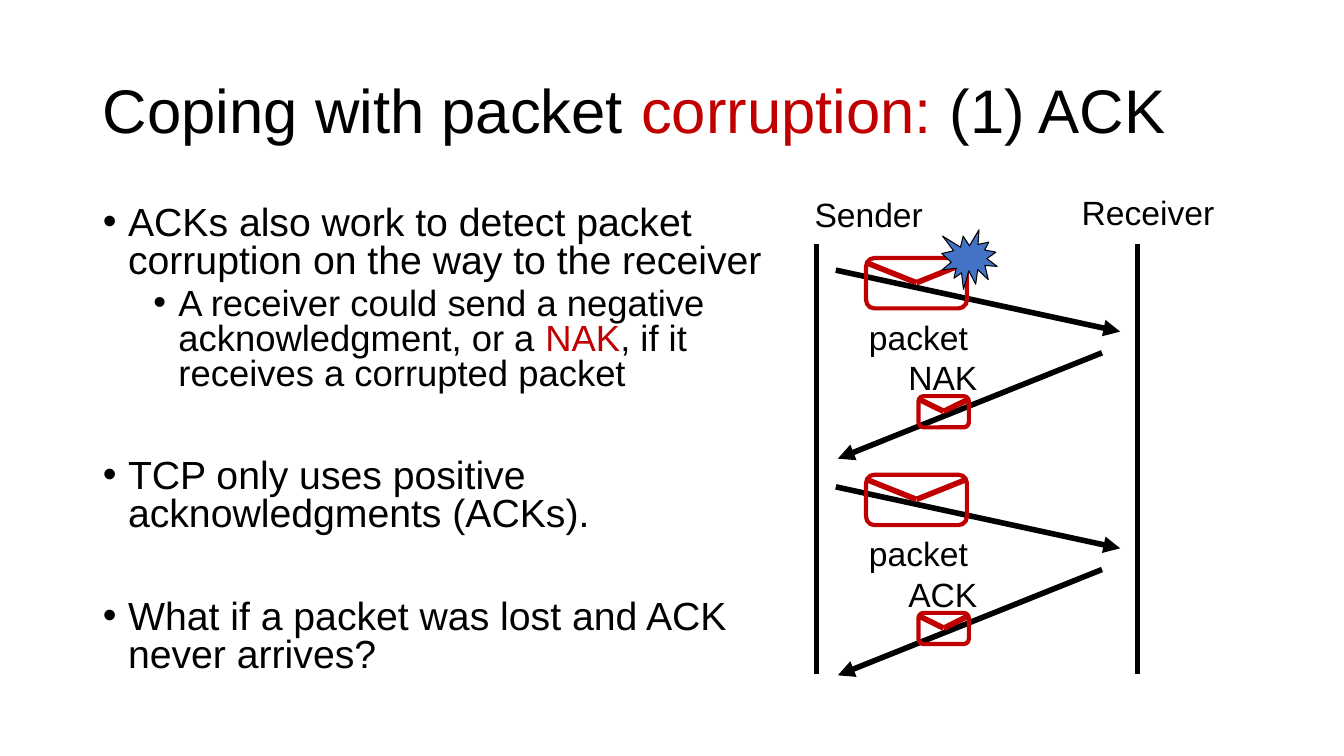
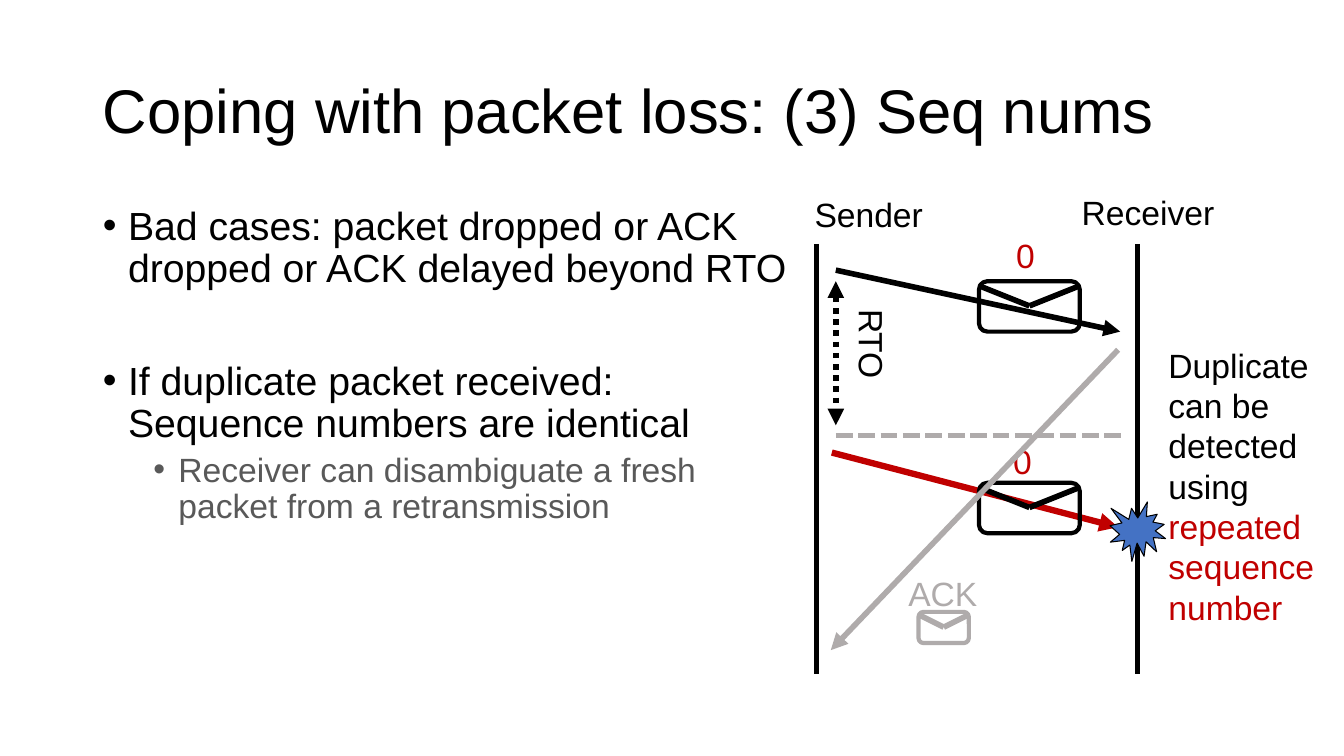
from lxml import etree
from pptx import Presentation
from pptx.dml.color import RGBColor
from pptx.enum.dml import MSO_LINE
from pptx.enum.shapes import MSO_CONNECTOR, MSO_SHAPE
from pptx.enum.text import MSO_ANCHOR, MSO_AUTO_SIZE, PP_ALIGN
from pptx.oxml.ns import qn
from pptx.util import Inches, Pt

STRAIGHT = MSO_CONNECTOR.STRAIGHT
ROUNDED = MSO_SHAPE.ROUNDED_RECTANGLE
BURST = MSO_SHAPE.EXPLOSION1
DASHED = MSO_LINE.SQUARE_DOT
DOTTED = MSO_LINE.ROUND_DOT
MIDDLE = MSO_ANCHOR.MIDDLE
NO_AUTOFIT = MSO_AUTO_SIZE.NONE
LEFT = PP_ALIGN.LEFT

FONT = "Arial"
COLORS = {
    "black": "000000",
    "red": "C00000",
    "blue": "4472C4",
    "silver": "AFABAB",
    "gray": "595959",
}
SENDER_X, RECEIVER_X = 8.1, 11.28
LINE_TOP, LINE_BOTTOM = 2.42, 6.69
EXCHANGE_STEP = 2.15


def rgb(name):
    return RGBColor.from_string(COLORS[name])


class Lecture:
    """Holds the deck, its style and the slide being drawn."""

    def __init__(self):
        self.deck = Presentation()
        self.deck.slide_width = Inches(13.33)
        self.deck.slide_height = Inches(7.5)
        self.page = None

    def start_slide(self, *title_spans):
        self.page = self.deck.slides.add_slide(self.deck.slide_layouts[1])
        title = self.page.shapes.title
        self.place(title, 0.92, 0.4, 11.5, 1.45)
        frame = title.text_frame
        frame.auto_size = NO_AUTOFIT
        frame.vertical_anchor = MIDDLE
        paragraph = frame.paragraphs[0]
        paragraph.alignment = LEFT
        paragraph.line_spacing = 0.9
        self.add_spans(paragraph, title_spans, 44)

    def place(self, shape, left, top, width, height):
        shape.left, shape.top = Inches(left), Inches(top)
        shape.width, shape.height = Inches(width), Inches(height)

    def add_spans(self, paragraph, spans, size):
        """Add (text, colour name) spans to a paragraph."""
        for text, color in spans:
            span = paragraph.add_run()
            span.text = text
            span.font.name = FONT
            span.font.size = Pt(size)
            span.font.color.rgb = rgb(color)

    def bullets(self, items, height, line_spacing):
        """Fill the body with (level, size, space before, spans) items."""
        body = self.page.placeholders[1]
        self.place(body, 0.92, 2, 7.04, height)
        frame = body.text_frame
        frame.auto_size = NO_AUTOFIT
        for index, (level, size, space, spans) in enumerate(items):
            paragraph = frame.add_paragraph() if index else frame.paragraphs[0]
            paragraph.level = level
            paragraph.line_spacing = line_spacing
            paragraph.space_before = Pt(space)
            properties = paragraph._p.get_or_add_pPr()
            properties.set("marL", str(Inches(0.25 + 0.5 * level)))
            properties.set("indent", str(Inches(-0.25)))
            etree.SubElement(properties, qn("a:buFont"), typeface=FONT)
            etree.SubElement(properties, qn("a:buChar"), char="•")
            self.add_spans(paragraph, spans, size)

    def label(self, left, top, width, *paragraphs, height=0.5, wrap=True,
              rotation=0):
        """Add a text box; each paragraph is a list of spans."""
        box = self.page.shapes.add_textbox(
            Inches(left), Inches(top), Inches(width), Inches(height))
        box.rotation = rotation
        frame = box.text_frame
        frame.word_wrap = wrap
        for index, spans in enumerate(paragraphs):
            paragraph = frame.add_paragraph() if index else frame.paragraphs[0]
            self.add_spans(paragraph, spans, 24)

    def line(self, start, end, color="black", width=4, dash=None, ends=(),
             shapes=None):
        """Draw a line; ends lists the arrowhead tags, headEnd first."""
        shapes = self.page.shapes if shapes is None else shapes
        points = [Inches(value) for value in (*start, *end)]
        connector = shapes.add_connector(STRAIGHT, *points)
        connector.line.color.rgb = rgb(color)
        connector.line.width = Pt(width)
        if dash is not None:
            connector.line.dash_style = dash
        properties = connector._element.spPr
        outline = properties.find(qn("a:ln"))
        for tag in ends:
            etree.SubElement(outline, qn(f"a:{tag}"), type="triangle")
        etree.SubElement(properties, qn("a:effectLst"))

    def arrow(self, start, end, color="black", width=4):
        self.line(start, end, color, width, ends=("tailEnd",))

    def envelope(self, left, top, width=1.0, height=0.5, color="red"):
        shapes = self.page.shapes.add_group_shape().shapes
        cover = shapes.add_shape(
            ROUNDED, Inches(left), Inches(top), Inches(width), Inches(height))
        cover.shadow.inherit = False
        cover.fill.background()
        cover.line.color.rgb = rgb(color)
        cover.line.width = Pt(3)
        fold = (left + width / 2, top + 0.49 * height)
        flap_top = top + 0.09 * height
        self.line((left, flap_top), fold, color, shapes=shapes)
        self.line(fold, (left + width, flap_top), color, shapes=shapes)

    def reply(self, top, text, text_color, color):
        """Draw a small envelope with its label above."""
        self.envelope(9.11, top, 0.5, 0.31, color)
        self.label(8.91, top - 0.44, 0.89, [(text, text_color)], wrap=False)

    def burst(self, left, top):
        star = self.page.shapes.add_shape(
            BURST, Inches(left), Inches(top), Inches(0.55), Inches(0.59))
        star.shadow.inherit = False
        star.fill.solid()
        star.fill.fore_color.rgb = rgb("blue")
        star.line.color.rgb = rgb("black")
        star.line.width = Pt(0.75)

    def timelines(self):
        for x in (SENDER_X, RECEIVER_X):
            self.line((x, LINE_TOP), (x, LINE_BOTTOM))
        self.label(7.98, 1.87, 1.51, [("Sender", "black")])
        self.label(10.63, 1.85, 1.68, [("Receiver", "black")])

    def send_arrow(self, top=2.68):
        self.arrow((8.29, top), (11.11, top + 0.61))


def corruption_slide(lecture):
    lecture.start_slide(("Coping with packet ", "black"),
                        ("corruption:", "red"), (" (1) ACK", "black"))
    lecture.bullets([
        (0, 28, 0, [("ACKs also work to detect packet corruption on the way "
                     "to the receiver", "black")]),
        (1, 26, 5, [("A receiver could send a negative acknowledgment, or a ",
                     "black"), ("NAK", "red"),
                    (", if it receives a corrupted packet", "black")]),
        (0, 28, 47, [("TCP only uses positive acknowledgments (ACKs).",
                      "black")]),
        (0, 28, 47, [("What if a packet was lost and ACK never arrives?",
                      "black")]),
    ], height=4.76, line_spacing=0.8)
    lecture.timelines()
    for index, answer in enumerate(("NAK", "ACK")):
        shift = index * EXCHANGE_STEP
        lecture.send_arrow(2.68 + shift)
        lecture.envelope(8.59, 2.56 + shift)
        lecture.arrow((10.93, 3.5 + shift), (8.31, 4.55 + shift))
        lecture.reply(3.93 + shift, answer, "black", "red")
        lecture.label(8.52, 3.09 + shift, 1.19, [("packet", "black")],
                      wrap=False)
    lecture.burst(9.34, 2.28)


def sequence_slide(lecture):
    lecture.start_slide(("Coping with packet loss: (3) Seq nums", "black"))
    lecture.bullets([
        (0, 28, 0, [("Bad cases: packet dropped or ACK dropped or ACK delayed "
                     "beyond RTO", "black")]),
        (0, 28, 50, [("If duplicate packet received: Sequence numbers are "
                      "identical", "black")]),
        (1, 24, 5, [("Receiver can disambiguate a fresh packet from a "
                     "retransmission", "gray")]),
    ], height=5.1, line_spacing=0.9)
    lecture.timelines()
    lecture.send_arrow()
    lecture.envelope(9.71, 2.79, color="black")
    lecture.reply(6.07, "ACK", "silver", "silver")
    lecture.line((8.29, 4.32), (11.14, 4.32), "silver", dash=DASHED)
    lecture.line((8.29, 2.79), (8.29, 4.22), dash=DOTTED,
                 ends=("headEnd", "tailEnd"))
    lecture.label(8.1, 3.27, 1.1, [("RTO", "black")], rotation=90)
    lecture.arrow((8.25, 4.49), (11.09, 5.23), "red", 4.5)
    lecture.burst(11.01, 4.98)
    lecture.label(11.49, 3.37, 1.79, [("Duplicate", "black")],
                  [("can be detected using ", "black"),
                   ("repeated sequence number", "red")], height=2.93)
    lecture.label(9.98, 2.28, 0.5, [("0", "red")])
    lecture.envelope(9.71, 4.79, color="black")
    lecture.label(9.95, 4.33, 0.5, [("0", "red")])
    lecture.arrow((11.09, 3.47), (8.24, 6.45), "silver")


def main():
    lecture = Lecture()
    corruption_slide(lecture)
    sequence_slide(lecture)
    lecture.deck.save("out.pptx")


if __name__ == "__main__":
    main()
